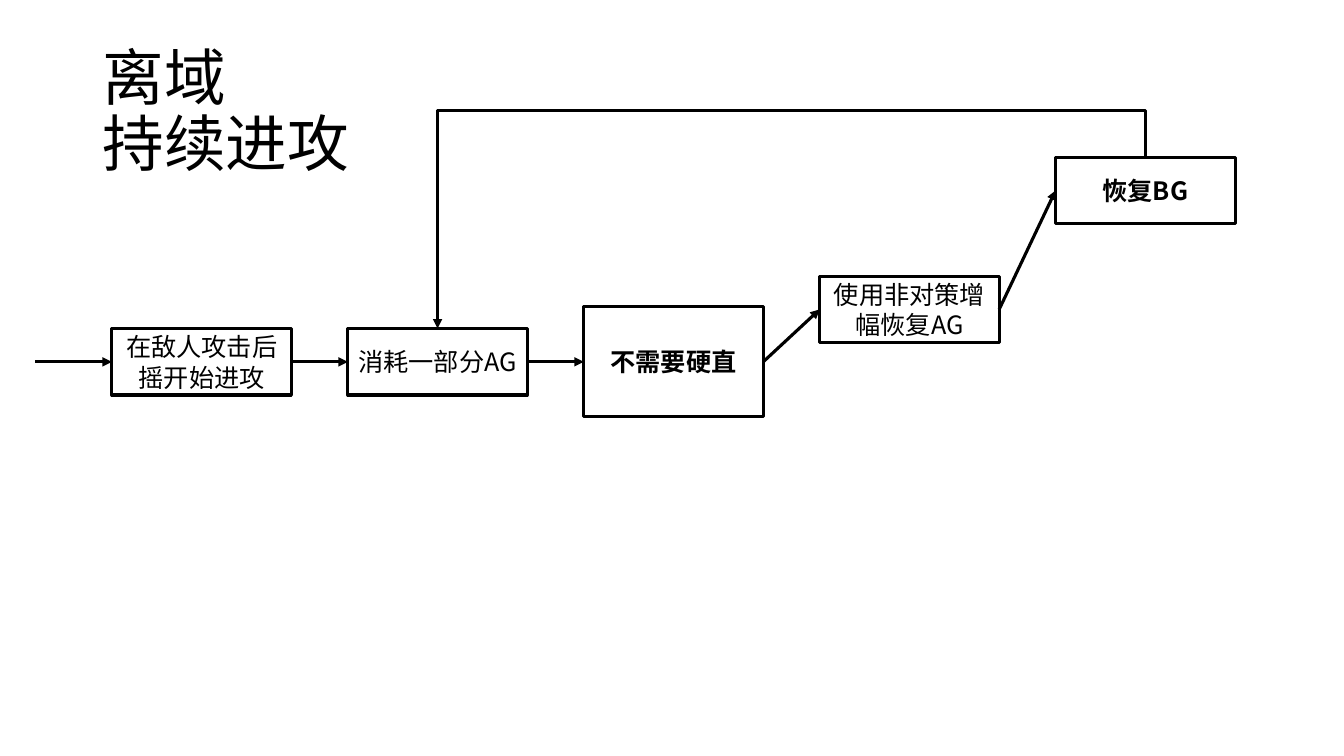
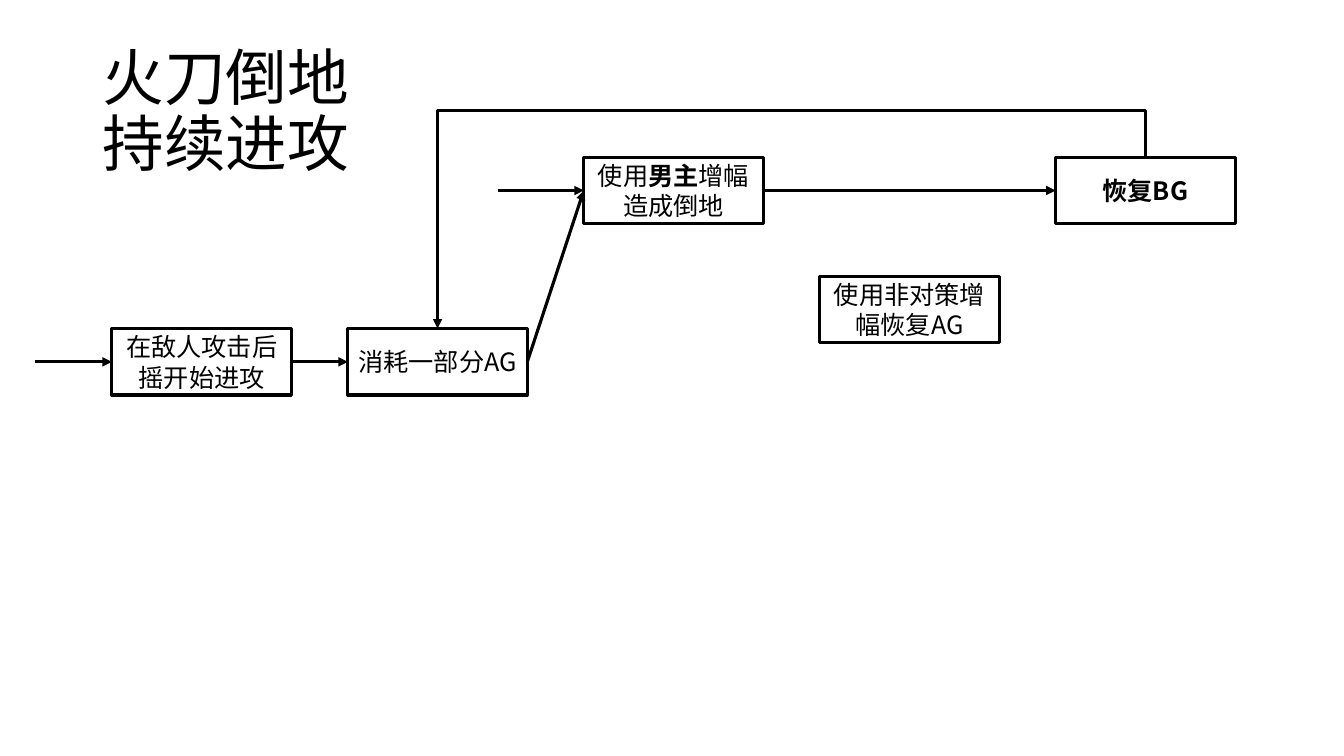
from dataclasses import dataclass

from lxml.etree import SubElement as Sub
from pptx import Presentation
from pptx.dml.color import RGBColor as Color
from pptx.enum.shapes import MSO_CONNECTOR as Link
from pptx.enum.shapes import MSO_SHAPE as Kind
from pptx.enum.text import MSO_ANCHOR as Anchor
from pptx.enum.text import PP_ALIGN as Align
from pptx.oxml.ns import qn
from pptx.util import Inches, Pt

FONT = "Noto Sans CJK SC"
COLORS = {"ink": "000000", "paper": "FFFFFF"}
LEFT, STEP = 1.11, 2.34
WIDE, HIGH = 1.78, 0.66
TOP, MID, LOW = 1.89, 3.07, 3.59
LOOP = 1.1


@dataclass(frozen=True)
class Box:
    """A step of the flow: its column, centre line and text."""
    col: int
    row: float
    text: str
    high: float = HIGH

    @property
    def left(self) -> float:
        """Left edge in inches."""
        return LEFT + STEP * self.col

    @property
    def right(self) -> float:
        """Right edge in inches."""
        return self.left + WIDE

    @property
    def mid(self) -> float:
        """Horizontal centre in inches."""
        return self.left + WIDE / 2

    @property
    def top(self) -> float:
        """Top edge in inches."""
        return self.row - self.high / 2


@dataclass(frozen=True)
class Page:
    """A slide: title, boxes, chained boxes and entry arrows."""
    title: str
    boxes: tuple[Box, ...]
    chain: tuple[Box, ...]
    entries: tuple[tuple[Box, float], ...]


START = Box(0, LOW, "在敌人攻击后摇开始进攻")
SPEND = Box(1, LOW, "消耗一部分AG")
FREE = Box(2, LOW, "*不需要硬直*", 1.09)
DOWN = Box(2, TOP, "使用*男主*增幅造成倒地")
BOOST = Box(3, MID, "使用非对策增幅恢复AG")
GAIN = Box(4, TOP, "*恢复BG*")

PAGES = (
    Page("离域\n持续进攻", (START, SPEND, FREE, BOOST, GAIN),
         (START, SPEND, FREE, BOOST, GAIN), ((START, 0.76),)),
    Page("火刀倒地\n持续进攻", (START, SPEND, DOWN, BOOST, GAIN),
         (START, SPEND, DOWN, GAIN), ((START, 0.76), (DOWN, 0.85))),
)


def ink(name: str) -> Color:
    """Look up a colour by name."""
    return Color.from_string(COLORS[name])


def write(shape, text: str, *, size: float = 18, align=Align.CENTER,
          space: float = 1.0) -> None:
    """Fill a shape with text; parts between asterisks are bold."""
    frame = shape.text_frame
    frame.word_wrap = True
    frame.vertical_anchor = Anchor.MIDDLE
    para = frame.paragraphs[0]
    para.alignment = align
    para.line_spacing = space
    for row, line in enumerate(text.split("\n")):
        if row:
            para.add_line_break()
        for turn, part in enumerate(line.split("*")):
            if not part:
                continue
            run = para.add_run()
            run.text = part
            font = run.font
            font.name, font.size, font.bold = FONT, Pt(size), turn % 2 == 1
            font.color.rgb = ink("ink")
            Sub(font._element, qn("a:ea"), typeface=FONT)


def title(slide, text: str) -> None:
    """Add the slide title."""
    area = slide.shapes.add_textbox(
        Inches(0.92), Inches(0.4), Inches(11.5), Inches(1.45))
    write(area, text, size=44, align=Align.LEFT, space=0.9)


def draw(slide, box: Box):
    """Draw one outlined box and return its shape."""
    shape = slide.shapes.add_shape(
        Kind.RECTANGLE, Inches(box.left), Inches(box.top),
        Inches(WIDE), Inches(box.high))
    shape.shadow.inherit = False
    shape.fill.background()
    shape.line.color.rgb = ink("ink")
    shape.line.width = Pt(2.25)
    write(shape, box.text)
    return shape


def arrow(slide, start: tuple[float, float], end: tuple[float, float],
          kind=Link.STRAIGHT):
    """Draw a line with an arrowhead at its end."""
    line = slide.shapes.add_connector(
        kind, *(Inches(n) for n in (*start, *end)))
    line.line.color.rgb = ink("ink")
    line.line.width = Pt(2.25)
    Sub(line.line._get_or_add_ln(), qn("a:tailEnd"), type="triangle")
    Sub(line.element.spPr, qn("a:effectLst"))
    return line


def loop(slide, start: Box, end: Box) -> None:
    """Lead from the top of one box over and down to another."""
    x, y = (start.mid + end.mid) / 2, (start.top + end.top) / 2
    wide, high = end.top - start.top, start.mid - end.mid
    line = arrow(slide, (x + wide / 2, y + high / 2),
                 (x - wide / 2, y - high / 2), Link.ELBOW)
    props = line.element.spPr
    props.find(qn("a:xfrm")).set("rot", str(270 * 60000))
    geom = props.find(qn("a:prstGeom"))
    guides = geom.find(qn("a:avLst"))
    if guides is None:
        guides = Sub(geom, qn("a:avLst"))
    bend = round((LOOP - start.top) / wide * 100000)
    Sub(guides, qn("a:gd"), name="adj1", fmla=f"val {bend}")


def build(deck, page: Page) -> None:
    """Add one slide to the deck."""
    slide = deck.slides.add_slide(deck.slide_layouts[6])
    slide.background.fill.solid()
    slide.background.fill.fore_color.rgb = ink("paper")
    title(slide, page.title)
    shapes = {box: draw(slide, box) for box in page.boxes}
    for one, two in zip(page.chain, page.chain[1:]):
        line = arrow(slide, (one.right, one.row), (two.left, two.row))
        line.begin_connect(shapes[one], 3)
        line.end_connect(shapes[two], 1)
    loop(slide, GAIN, SPEND)
    for box, size in page.entries:
        line = arrow(slide, (box.left - size, box.row), (box.left, box.row))
        line.end_connect(shapes[box], 1)


def main() -> None:
    """Build and save the deck."""
    deck = Presentation()
    deck.slide_width, deck.slide_height = Inches(13.33), Inches(7.5)
    for page in PAGES:
        build(deck, page)
    deck.save("out.pptx")


main()
